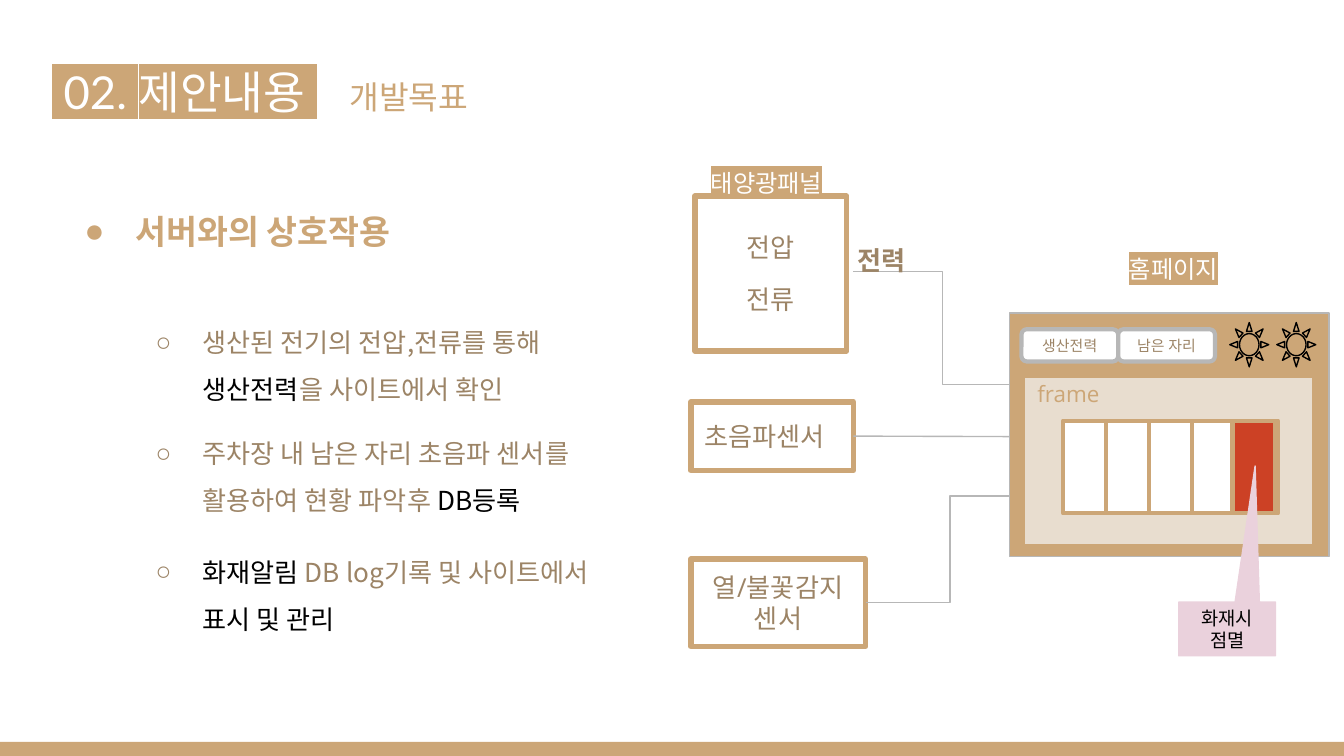
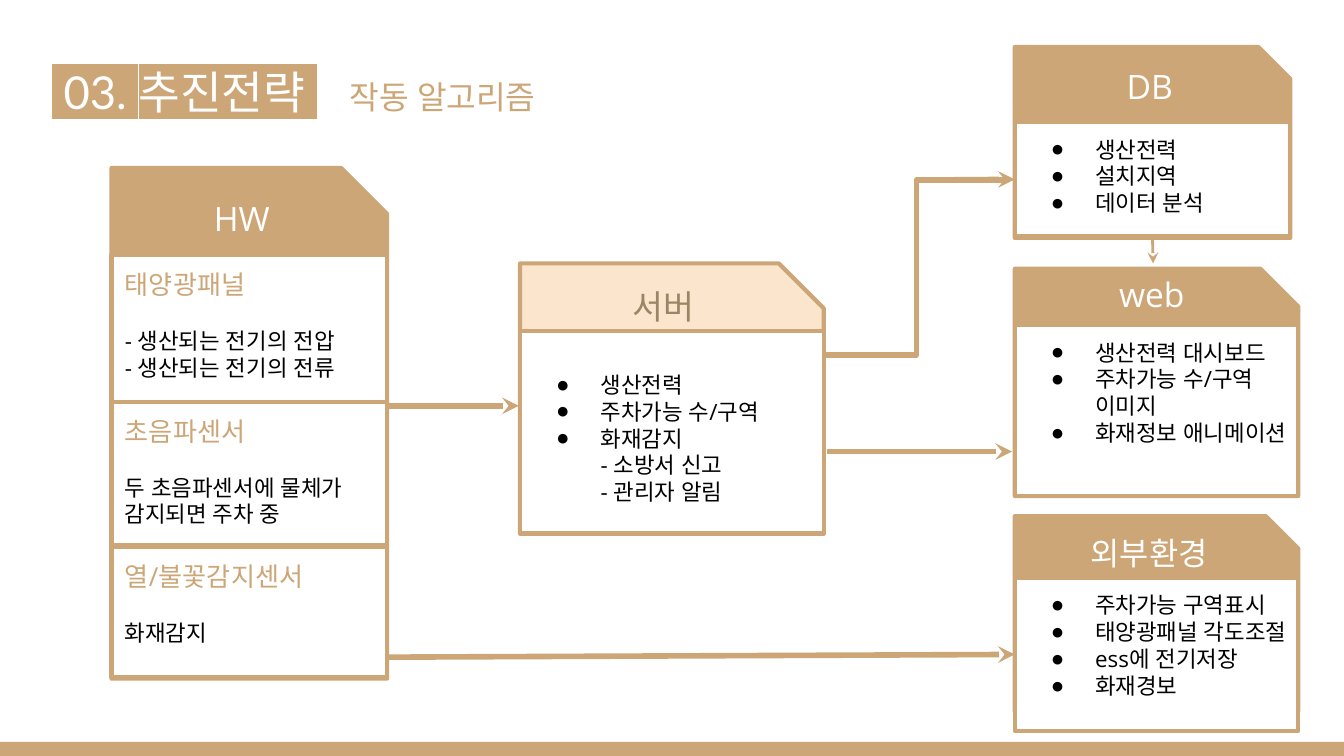
import pptx
import pptx.util
import pptx.dml.color
import pptx.enum.shapes
import pptx.enum.text
import pptx.oxml
import pptx.oxml.ns

Inches = pptx.util.Inches
Pt = pptx.util.Pt
KIND = pptx.enum.shapes.MSO_SHAPE
LINK = pptx.enum.shapes.MSO_CONNECTOR
MID = pptx.enum.text.MSO_ANCHOR.MIDDLE
LOW = pptx.enum.text.MSO_ANCHOR.BOTTOM
MAIN = pptx.enum.text.PP_ALIGN.CENTER

HUES = {
    "tan": "CCA677", "brown": "9C8466", "sand": "E8DDCF", "peach": "FCE5CD",
    "gray": "B7B7B7", "white": "FFFFFF", "black": "000000",
    "red": "CC4125", "pink": "EAD1DC",
}
FONT = "Open Sans"
NOTO = "Noto Sans CJK KR"


def hue(name):
    return pptx.dml.color.RGBColor.from_string(HUES[name])


def add(parent, tag, **attrs):
    """Append a drawing element with the given attributes."""
    node = pptx.oxml.parse_xml(f"<a:{tag} {pptx.oxml.ns.nsdecls('a')}/>")
    for key, value in attrs.items():
        node.set(key, str(value))
    parent.append(node)
    return node


# Shapes and lines
def frame(shape, pad=0.1, top=None, end=None, anchor=None):
    body = shape.text_frame
    body.word_wrap = True
    body.margin_left = Inches(pad)
    body.margin_top = Inches(pad if top is None else top)
    body.margin_right = body.margin_bottom = Inches(pad if end is None else end)
    body.vertical_anchor = anchor or pptx.enum.text.MSO_ANCHOR.TOP


def box(slide, spot, fill=None, line=None, width=0.75, kind=KIND.RECTANGLE):
    shape = slide.shapes.add_shape(kind, *map(Inches, spot))
    shape.shadow.inherit = False
    if fill:
        shape.fill.solid()
        shape.fill.fore_color.rgb = hue(fill)
    else:
        shape.fill.background()
    if line:
        shape.line.color.rgb = hue(line)
        shape.line.width = Pt(width)
    else:
        shape.line.fill.background()
    frame(shape, anchor=MID)
    return shape


def note(slide, spot, pad=0.1, anchor=None):
    shape = slide.shapes.add_textbox(*map(Inches, spot))
    frame(shape, pad, anchor=anchor)
    return shape


def wire(slide, start, stop, color, width, bent=False, arrow=False):
    kind = LINK.ELBOW if bent else LINK.STRAIGHT
    link = slide.shapes.add_connector(kind, *map(Inches, start + stop))
    link.line.color.rgb = hue(color)
    link.line.width = Pt(width)
    if arrow:
        add(link.line._get_or_add_ln(), "tailEnd", type="stealth")
    add(link._element.spPr, "effectLst")
    return link


# Text
def style(run, size, color, font=FONT, bold=False, glow=None):
    run.font.size = Pt(size)
    run.font.color.rgb = hue(color)
    run.font.bold = bold
    run.font.name = font
    props = run.font._element
    latin = props.find(pptx.oxml.ns.qn("a:latin"))
    if glow:
        mark = add(props, "highlight")
        add(mark, "srgbClr", val=HUES[glow])
        latin.addprevious(mark)
    add(props, "ea", typeface=font)


def para(shape, text, size, color="black", align=pptx.enum.text.PP_ALIGN.LEFT,
         left=0, hang=0, mark=None, tint="black", before=0, lines=None, **look):
    """Add a paragraph; text is a string or a list of (text, color)."""
    body = shape.text_frame
    line = body.add_paragraph() if body.text else body.paragraphs[0]
    line.alignment = align
    line.space_before = Pt(before)
    if lines:
        line.line_spacing = lines
    for words, shade in [(text, color)] if isinstance(text, str) else text:
        run = line.add_run()
        run.text = words
        style(run, size, shade, **look)
    props = line._p.get_or_add_pPr()
    props.set("marL", str(Inches(left)))
    props.set("indent", str(Inches(hang)))
    if mark:
        add(add(props, "buClr"), "srgbClr", val=HUES[tint])
        add(props, "buFont", typeface="Arial")
        add(props, "buChar", char=mark)
    return line


def tag(slide, spot, text, size=13, color="white", **look):
    para(note(slide, spot, pad=0), text, size, color, **look)


# Parts both slides share
def base(deck, head, topic, width):
    slide = deck.slides.add_slide(deck.slide_layouts[6])
    box(slide, (0, 5.52, 10, 0.11), "tan")
    title = note(slide, (0.29, 0.41, width, 0.57), anchor=LOW)
    line = para(title, head, 24.3, "white", font="Lato", glow="tan")
    gap = line.add_run()
    gap.text = " "
    style(gap, 12.3, "white", font="Lato")
    gap.font._element.set("spc", "1450")
    run = line.add_run()
    run.text = topic
    style(run, 17.3, "tan", font="Lato")
    return slide


# Slide 1
def goals(slide):
    body = note(slide, (0.41, 1.32, 4.44, 3.67))
    para(body, "서버와의 상호작용", 18, "tan", left=0.5, hang=-0.38, mark="●",
         tint="tan", lines=1.5, font=NOTO, bold=True)
    items = [
        (32, [("생산된 전기의 전압,전류를 통해 ", "brown"), ("생산전력", "black"),
              ("을 사이트에서 확인", "brown")]),
        (9, [("주차장 내 남은 자리 초음파 센서를 활용하여 현황 파악후 ", "brown"),
             ("DB등록", "black")]),
        (13, [("화재알림", "black"), (" DB log기록 및 사이트에서 ", "brown"),
              ("표시 및 관리", "black")]),
    ]
    for gap, runs in items:
        para(body, runs, 14, left=1, hang=-0.35, mark="○", tint="brown",
             before=gap, lines=1.5, font=NOTO)


def parts(slide):
    panel = box(slide, (5.17, 1.46, 1.13, 1.15), None, "tan", 3)
    para(panel, "전압", 14, "brown", MAIN)
    para(panel, "전류", 14, "brown", MAIN, before=11)
    tag(slide, (5.29, 1.25, 0.91, 0.18), "태양광패널", glow="tan")
    wire(slide, (6.35, 2.02), (7.68, 2.86), "gray", 0.75, bent=True)
    tag(slide, (6.38, 1.82, 0.57, 0.22), "전력", 14, "brown", bold=True)

    sonar = box(slide, (5.14, 2.99, 1.21, 0.51), None, "tan", 3)
    para(sonar, "초음파센서", 14, "brown")
    heat = box(slide, (5.14, 4.16, 1.3, 0.65), None, "tan", 3)
    para(heat, "열/불꽃감지 센서", 14, "brown", MAIN)
    link = wire(slide, (6.35, 3.24), (7.99, 3.25), "gray", 0.75)
    link.begin_connect(sonar, 3)
    link = wire(slide, (6.44, 4.49), (7.7, 3.69), "gray", 0.75, bent=True)
    link.begin_connect(heat, 3)


def site(slide):
    box(slide, (7.51, 2.33, 2.38, 1.81), "tan", "gray")
    for i, (text, font) in enumerate([("생산전력", FONT),
                                      ("남은 자리", "Roboto Condensed")]):
        tab = box(slide, (7.6 + 0.72 * i, 2.45, 0.72, 0.24), "white", "gray",
                  2.25, KIND.ROUNDED_RECTANGLE)
        para(tab, text, 8, "brown", MAIN, font=font)
    for left in (9.5, 9.15):
        box(slide, (left, 2.4, 0.29, 0.33), "tan", "black", kind=KIND.SUN)
    box(slide, (7.62, 2.81, 2.15, 1.24), "sand", "tan")
    para(note(slide, (7.62, 2.74, 0.86, 0.19)), "frame", 12, "tan")

    # Parking bays, with the alarm over the last one
    for i in range(5):
        box(slide, (7.91 + 0.32 * i, 3.13, 0.32, 0.69), "white", "tan", 2.25)
    box(slide, (9.17, 3.13, 0.32, 0.69), "red", "tan", 2.25)
    call = box(slide, (8.77, 4.48, 0.72, 0.4), "pink", "pink",
               kind=KIND.ROUNDED_RECTANGULAR_CALLOUT)
    for i, value in enumerate((0.29, -3.03, 0)):
        call.adjustments[i] = value
    para(call, "화재시 점멸", 10, "black", MAIN)
    tag(slide, (8.4, 1.89, 0.91, 0.18), "홈페이지", glow="tan")


# Slide 2
def card(slide, spot, name, place, fill="tan", color="white", size=18):
    box(slide, spot, fill, "tan", 2.25, KIND.SNIP_1_RECTANGLE)
    para(note(slide, place), name, size, color, MAIN)


def pane(slide, spot, top=0.1):
    shape = box(slide, spot, "white", "tan", 2.25)
    frame(shape, top=top, end=0)
    return shape


def bullets(shape, items):
    for text in items:
        para(shape, text, 12, left=0.5, hang=-0.33, mark="●")


def server(slide):
    card(slide, (3.87, 1.96, 2.26, 2.01), "서버", (3.96, 2.03, 1.96, 0.26),
         "peach", "brown")
    body = pane(slide, (3.87, 2.46, 2.26, 1.51), top=0.3)
    bullets(body, ["생산전력", "주차가능 수/구역", "화재감지"])
    for text in ("- 소방서 신고", "- 관리자 알림"):
        para(body, text, 12, left=0.5)


def sensors(slide):
    card(slide, (0.83, 1.25, 2.05, 3.8), "HW", (0.91, 1.37, 1.78, 0.45))
    rows = [
        (1.9, 1.13, "태양광패널", ["- 생산되는 전기의 전압", "- 생산되는 전기의 전류"]),
        (2.99, 1.07, "초음파센서", ["두 초음파센서에 물체가 감지되면 주차 중"]),
        (4.07, 0.97, "열/불꽃감지센서", ["화재감지"]),
    ]
    for top, height, name, items in rows:
        body = pane(slide, (0.83, top, 2.05, height))
        para(body, name, 14, "tan")
        for i, text in enumerate(items):
            para(body, text, 12, before=0 if i else 14.5)


def targets(slide):
    """Draw the right-hand cards and return their panes."""
    cards = [
        ((7.55, 0.35, 2.05, 1.42), "DB", (7.63, 0.39, 1.85, 0.57), 18, 0.91, 0.85,
         ["생산전력", "설치지역", "데이터 분석"]),
        ((7.55, 2, 2.11, 1.69), "web", (7.66, 1.98, 1.82, 0.16), 18, 2.42, 1.27,
         ["생산전력 대시보드", "주차가능 수/구역 이미지", "화재정보 애니메이션"]),
        ((7.55, 3.84, 2.11, 1.45), "외부환경", (7.64, 3.89, 1.82, 0.18), 17, 4.3, 1.14,
         ["주차가능 구역표시", "태양광패널 각도조절", "ess에 전기저장", "화재경보"]),
    ]
    panes = []
    for spot, name, place, size, top, height, items in cards:
        card(slide, spot, name, place, size=size)
        body = pane(slide, (spot[0], top, spot[2], height))
        bullets(body, items)
        panes.append(body)
    return panes


def flow(slide, store, world):
    wire(slide, (2.88, 3.02), (3.86, 3.02), "tan", 3, arrow=True)
    wire(slide, (6.14, 2.64), (7.5, 1.34), "tan", 3, bent=True)
    link = wire(slide, (8.58, 1.76), (8.58, 1.96), "tan", 1.5, arrow=True)
    link.begin_connect(store, 2)
    link = wire(slide, (2.87, 4.89), (7.55, 4.87), "tan", 3, arrow=True)
    link.end_connect(world, 1)
    wire(slide, (6.15, 3.36), (7.53, 3.36), "tan", 3, arrow=True)
    link = wire(slide, (6.84, 1.34), (7.55, 1.34), "tan", 3, arrow=True)
    link.end_connect(store, 1)


def main():
    deck = pptx.Presentation()
    deck.slide_width = Inches(10)
    deck.slide_height = deck.slide_width * 9 // 16

    slide = base(deck, " 02. 제안내용 ", "개발목표", 9.32)
    goals(slide)
    parts(slide)
    site(slide)

    slide = base(deck, " 03. 추진전략 ", "작동 알고리즘", 7.2)
    server(slide)
    sensors(slide)
    store, web, world = targets(slide)
    flow(slide, store, world)

    deck.save("out.pptx")


if __name__ == "__main__":
    main()
